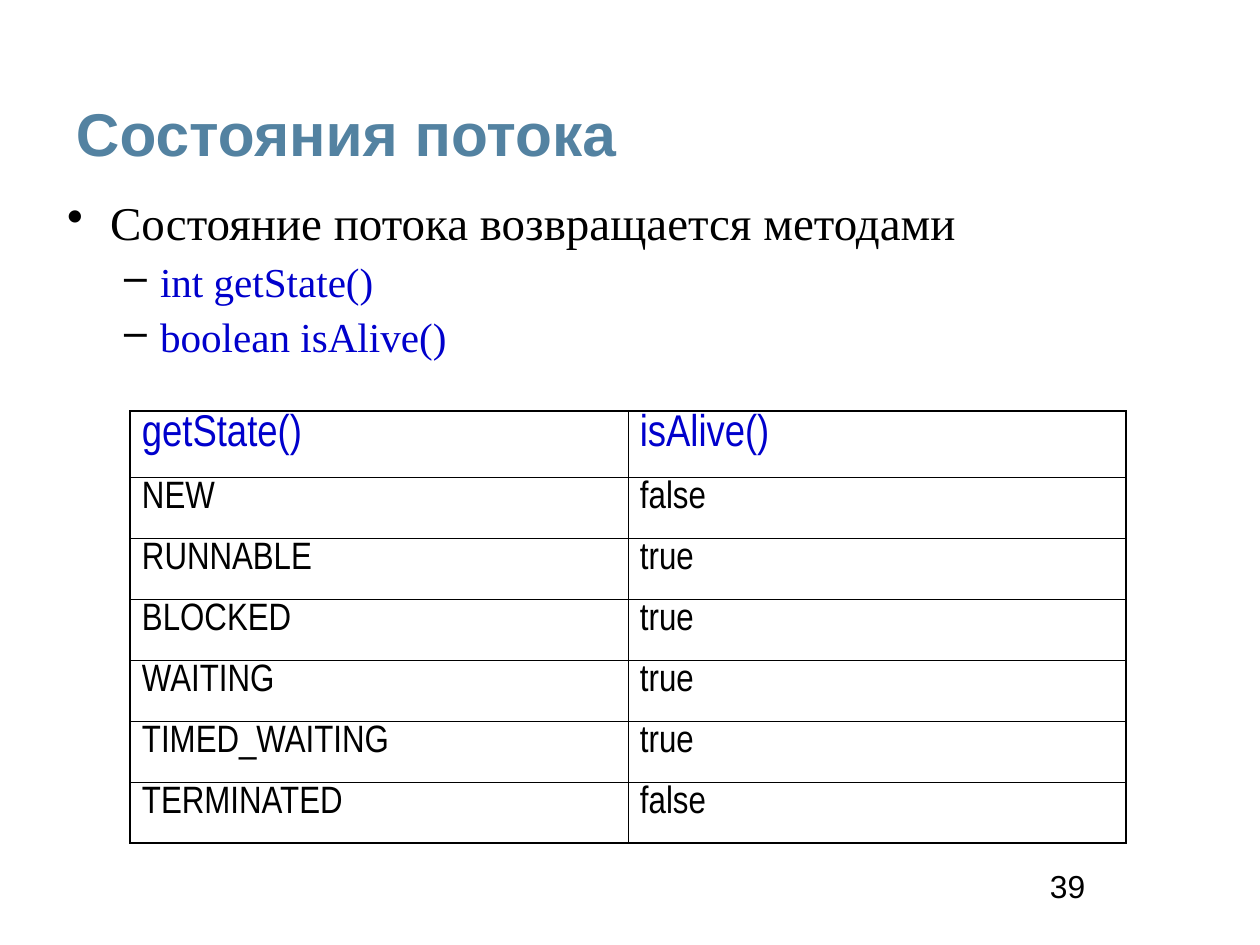
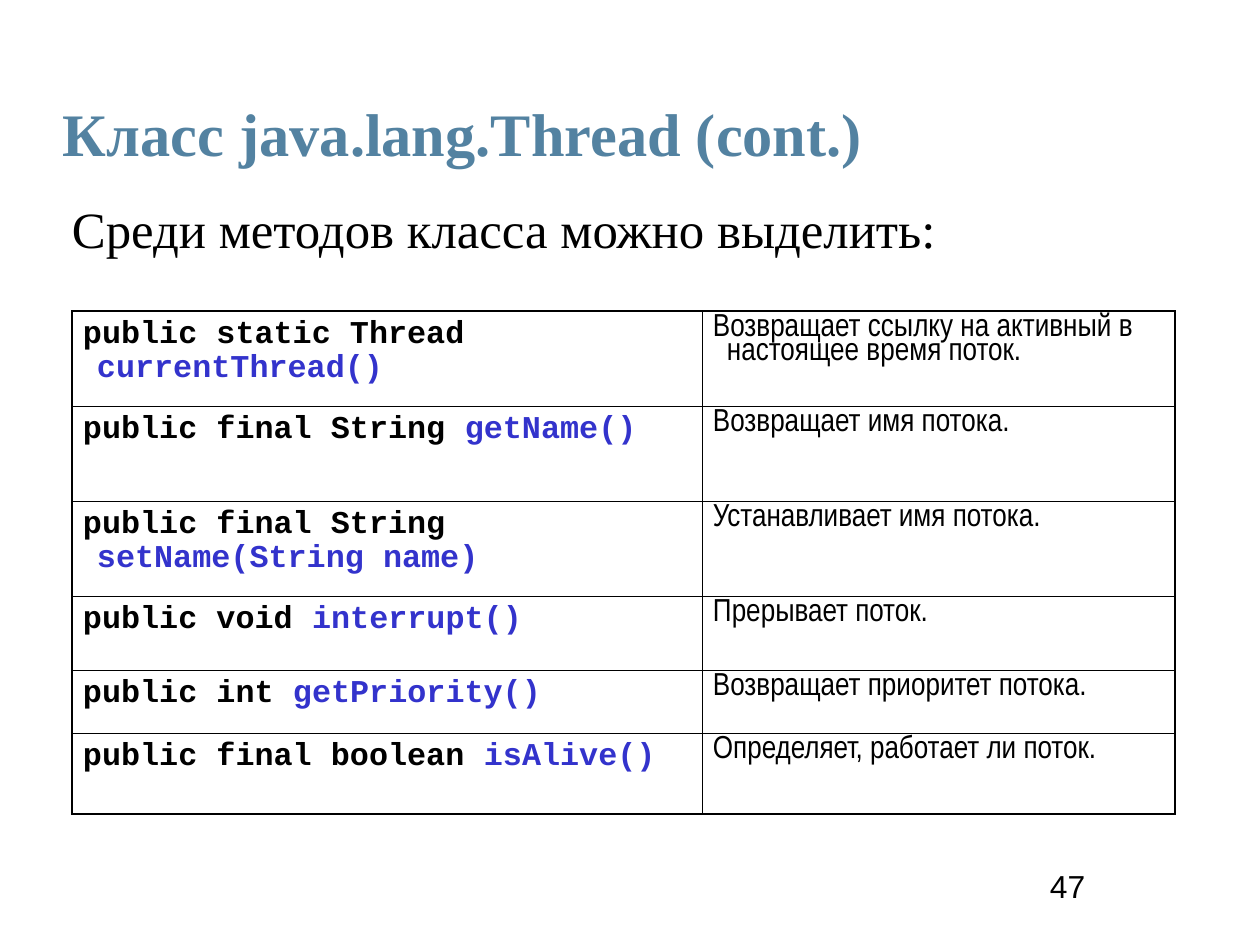
from dataclasses import dataclass

from lxml import etree
from pptx import Presentation, util as u
from pptx.dml.color import RGBColor
from pptx.enum import text
from pptx.oxml import ns

PX = 8000
BLACK, STEEL, BLUE, INDIGO = "000000", "5382A1", "0000CC", "3333CC"
SERIF, SANS, NARROW, MONO = "Times New Roman", "Arial", "Arial Narrow", "Courier New"
THIN, THICK = 0.45, 1.08


def px(n):
    return u.Emu(n * PX)


def rgb(value):
    return RGBColor.from_string(value)


def child(parent, tag, **attrs):
    return etree.SubElement(parent, ns.qn(tag), {k: str(v) for k, v in attrs.items()})


@dataclass
class Style:
    font: str
    size: float
    color: str = BLACK
    bold: bool = False
    spacing: float = 0.9
    before: int = 0
    left: int = 0
    hang: int = 0
    bullet: str = ""
    level: int = 0
    accent: str = INDIGO


class Deck:
    """Builds slides that share one title, body, table and number style."""

    def __init__(self, width, height):
        self.prs = Presentation()
        self.prs.slide_width, self.prs.slide_height = px(width), px(height)

    def slide(self, number):
        self.s = self.prs.slides.add_slide(self.prs.slide_layouts[6])
        style = Style(SANS, 20, spacing=0.87)
        self.box((1039, 866, 168, 45), [(str(number), style)], (11, 6), wrap=False)

    def paragraph(self, p, content, style):
        p.level = style.level
        p.line_spacing = style.spacing
        if style.before:
            p.space_before = u.Pt(style.before)
        pPr = p._p.get_or_add_pPr()
        if style.hang:
            pPr.set("marL", str(px(style.left)))
            pPr.set("indent", str(-px(style.hang)))
        if style.bullet:
            child(child(pPr, "a:buClr"), "a:srgbClr", val=BLACK)
            child(pPr, "a:buChar", char=style.bullet)
        f = p.font
        f.name, f.size, f.bold = style.font, u.Pt(style.size), style.bold
        if isinstance(content, str):
            p.add_run().text = content
            f.color.rgb = rgb(style.color)
            return
        for words, color in zip(content, (style.color, style.accent)):
            r = p.add_run()
            r.text = words
            r.font.color.rgb = rgb(color)

    def box(self, at, lines, inset, wrap=True, anchor=text.MSO_ANCHOR.TOP):
        tf = self.s.shapes.add_textbox(*map(px, at)).text_frame
        tf.word_wrap, tf.vertical_anchor = wrap, anchor
        tf.margin_left = tf.margin_right = px(inset[0])
        tf.margin_top = tf.margin_bottom = px(inset[1])
        for i, (content, style) in enumerate(lines):
            self.paragraph(tf.add_paragraph() if i else tf.paragraphs[0], content, style)

    def title(self, words, font, at, inset):
        style = Style(font, 38, STEEL, bold=True, spacing=0.46)
        self.box(at, [(words, style)], inset, anchor=text.MSO_ANCHOR.MIDDLE)

    def borders(self, cell, sides):
        tcPr = cell._tc.get_or_add_tcPr()
        for side, outer in sides.items():
            ln = child(tcPr, "a:ln" + side, w=u.Pt(THICK if outer else THIN))
            child(child(ln, "a:solidFill"), "a:srgbClr", val=BLACK)

    def table(self, left, top, widths, heights, rows, style_of, inset):
        at = map(px, (left, top, sum(widths), sum(heights)))
        table = self.s.shapes.add_table(len(heights), len(widths), *at).table
        table.first_row = table.horz_banding = False
        for col, width in zip(table.columns, widths):
            col.width = px(width)
        for row, height in zip(table.rows, heights):
            row.height = px(height)
        last_i, last_j = len(heights) - 1, len(widths) - 1
        for i, row in enumerate(rows):
            for j, content in enumerate(row):
                cell = table.cell(i, j)
                self.borders(cell, {"L": j == 0, "R": j == last_j,
                                    "T": i == 0, "B": i == last_i})
                cell.fill.background()
                cell.margin_left = cell.margin_right = px(inset)
                cell.margin_top = cell.margin_bottom = px(6)
                self.paragraph(cell.text_frame.paragraphs[0], content, style_of(i, j))


def thread_states(deck):
    deck.slide(39)
    deck.title("Состояния потока", SANS, (63, 103, 1100, 87), (13, 7))
    point = Style(SERIF, 29.6, left=43, hang=43, bullet="•")
    method = Style(SERIF, 25.9, BLUE, before=7, left=93, hang=36, bullet="–", level=1)
    deck.box((54, 193, 1121, 198), [
        ("Состояние потока возвращается методами", point),
        ("int getState()", method),
        ("boolean isAlive()", method),
    ], (13, 7))
    head, state = Style(NARROW, 28, BLUE), Style(NARROW, 24)
    rows = [
        ("getState()", "isAlive()"),
        ("NEW", "false"),
        ("RUNNABLE", "true"),
        ("BLOCKED", "true"),
        ("WAITING", "true"),
        ("TIMED_WAITING", "true"),
        ("TERMINATED", "false"),
    ]
    deck.table(130, 411, [498] * 2, [66] + [61] * 6, rows,
               lambda i, j: state if i else head, 12)


def thread_class(deck):
    deck.slide(47)
    deck.title("Класс java.lang.Thread (cont.)", SERIF, (63, 110, 1142, 74), (0, 0))
    intro = Style(SERIF, 32, spacing=0.95, left=43, hang=43)
    deck.box((72, 202, 1134, 112),
             [("Среди методов класса можно выделить:", intro)], (0, 0))
    columns = (Style(MONO, 20, bold=True, spacing=0.95, left=14, hang=14),
               Style(NARROW, 20, spacing=0.8, left=14, hang=14))
    rows = [
        (("public static Thread ", "currentThread()"),
         "Возвращает ссылку на активный в настоящее время поток."),
        (("public final String ", "getName()"), "Возвращает имя потока."),
        (("public final String ", "setName(String name)"), "Устанавливает имя потока."),
        (("public void ", "interrupt()"), "Прерывает поток."),
        (("public int ", "getPriority()"), "Возвращает приоритет потока."),
        (("public final boolean ", "isAlive()"), "Определяет, работает ли поток."),
    ]
    deck.table(72, 311, [630, 473], [95] * 3 + [74, 63, 81], rows,
               lambda i, j: columns[j], 11)


def main():
    deck = Deck(1260, 945)
    thread_states(deck)
    thread_class(deck)
    deck.prs.save("out.pptx")


if __name__ == "__main__":
    main()
